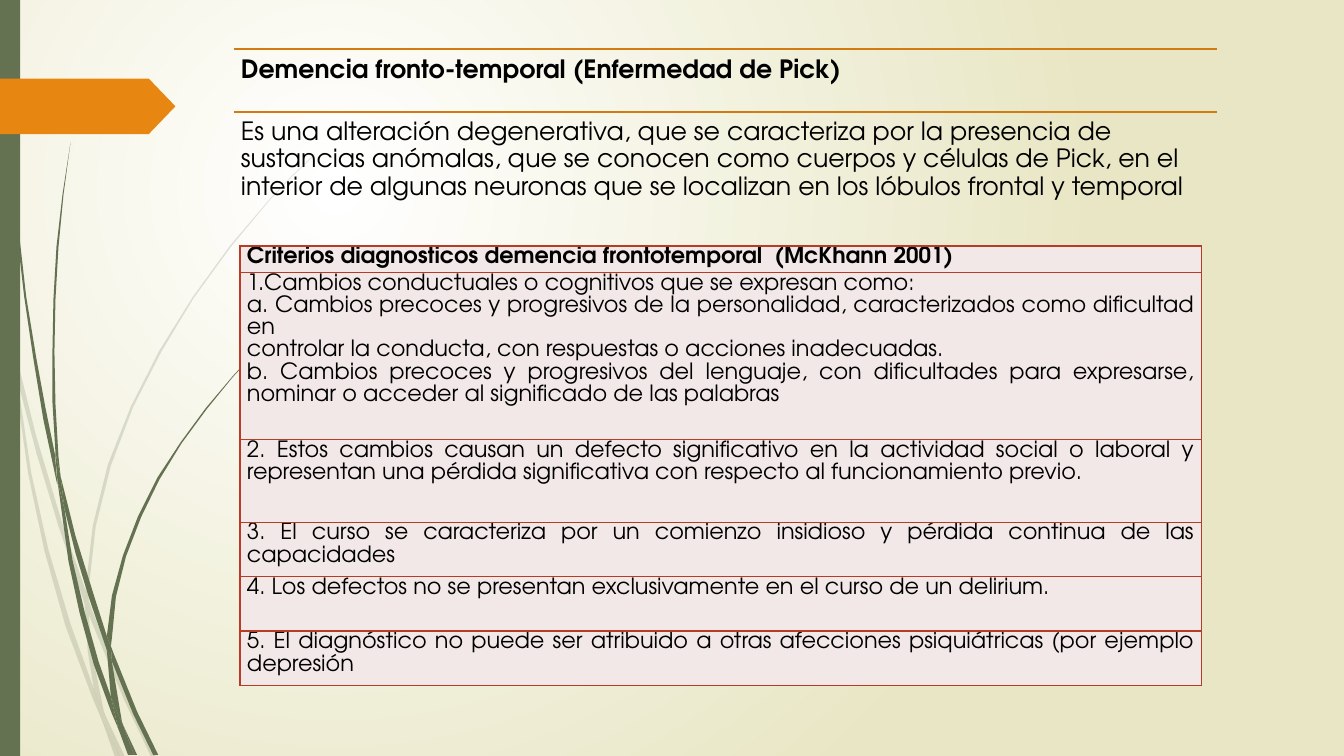
from dataclasses import dataclass

from lxml import etree
from pptx import Presentation
from pptx.dml.color import RGBColor
from pptx.enum.shapes import MSO_CONNECTOR, MSO_SHAPE
from pptx.enum.text import MSO_ANCHOR, MSO_AUTO_SIZE, PP_ALIGN
from pptx.oxml import parse_xml
from pptx.oxml.ns import nsdecls, qn
from pptx.util import Pt

PX = 9144  # 100 px to the inch
LEFT, JUSTIFY = PP_ALIGN.LEFT, PP_ALIGN.JUSTIFY
RECT, PENTAGON = MSO_SHAPE.RECTANGLE, MSO_SHAPE.PENTAGON
STRAIGHT, TOP = MSO_CONNECTOR.STRAIGHT, MSO_ANCHOR.TOP
NO_FIT = MSO_AUTO_SIZE.NONE


@dataclass(frozen=True)
class Theme:
    font: str = "TeX Gyre Adventor"
    ink: str = "000000"
    light: str = "FFFFFF"
    sand: str = "E8E6C4"
    moss: str = "647252"
    orange: str = "E78712"
    rule: str = "D27B10"
    edge: str = "B73C26"
    cell: str = "F3E8E8"
    lead: int = 18
    small: int = 16


THEME = Theme()

# Outlines of the grass, one blade part per list.
PALE = [
    [(11, 350), (9, 322), (0, 282), (0, 299), (10, 344)],
    [(58, 522), (84, 599), (85, 586), (62, 520), (36, 433), (14, 345), (17, 376), (36, 449)],
    [(92, 607), (88, 596), (88, 610), (123, 694), (150, 751), (155, 751), (127, 692)],
    [(119, 751), (124, 751), (105, 711)],
    [(93, 683), (70, 619), (48, 545), (31, 469), (17, 376), (11, 350), (28, 470), (44, 546),
     (65, 621), (92, 693), (101, 714), (99, 707)],
    [(84, 599), (87, 646), (93, 683), (96, 692), (105, 711), (103, 706), (91, 646), (88, 610),
     (88, 608)],
    [(88, 584), (95, 522), (110, 462), (132, 404), (160, 349), (192, 296), (229, 245),
     (268, 198), (290, 175), (312, 154), (312, 153), (289, 175), (268, 197), (228, 244),
     (191, 295), (158, 348), (130, 403), (107, 461), (92, 522), (85, 584), (85, 586), (88, 596)],
    [(101, 714), (114, 751), (119, 751)],
    [(88, 608), (88, 610), (88, 596), (85, 586), (84, 599)],
    [(96, 692), (93, 683), (99, 707), (101, 714), (119, 751), (105, 711)],
]
DARK = [
    [(7, 110), (17, 233), (24, 294), (33, 355), (43, 416), (56, 477), (57, 481), (55, 457),
     (55, 453), (45, 404), (36, 355), (26, 294), (19, 232), (8, 109), (5, 48), (4, 0), (3, 0),
     (4, 48)],
    [(88, 592), (106, 645), (106, 633), (106, 631), (93, 590), (75, 532), (60, 472), (64, 505),
     (75, 549)],
    [(113, 649), (110, 641), (111, 656), (132, 708), (152, 749), (157, 749), (136, 706)],
    [(110, 691), (98, 657), (84, 607), (72, 556), (64, 505), (57, 477), (68, 557), (79, 608),
     (93, 659), (111, 708), (117, 722), (116, 717)],
    [(60, 472), (58, 453), (55, 401), (54, 349), (55, 297), (58, 245), (63, 193), (70, 141),
     (62, 193), (56, 245), (53, 297), (52, 349), (52, 399), (55, 449)],
    [(133, 749), (136, 749), (122, 719)],
    [(57, 477), (64, 505), (60, 472), (55, 449), (55, 453)],
    [(111, 633), (115, 592), (125, 552), (140, 513), (158, 476), (180, 440), (205, 406),
     (231, 374), (245, 359), (261, 344), (260, 344), (245, 358), (231, 373), (204, 405),
     (179, 439), (156, 474), (137, 512), (122, 551), (111, 591), (106, 631), (110, 641)],
    [(117, 722), (127, 749), (131, 749)],
    [(106, 645), (110, 691), (116, 706), (122, 719), (121, 716), (111, 656), (109, 651)],
    [(106, 645), (109, 651), (111, 656), (110, 641), (106, 631), (106, 633)],
    [(116, 706), (110, 691), (116, 717), (117, 722), (130, 749), (133, 749), (122, 719)],
]

TITLE = "Demencia fronto-temporal (Enfermedad de Pick)"
INTRO = ("Es una alteración degenerativa, que se caracteriza por la presencia de sustancias "
         "anómalas, que se conocen como cuerpos y células de Pick, en el interior de algunas "
         "neuronas que se localizan en los lóbulos frontal y temporal")
ROWS = [
    (26, "Criterios diagnosticos demencia frontotemporal  (McKhann 2001)"),
    (166, "1.Cambios conductuales o cognitivos que se expresan como:\n"
          "a. Cambios precoces y progresivos de la personalidad, caracterizados como "
          "dificultad en\n"
          "controlar la conducta, con respuestas o acciones inadecuadas.\n"
          "b. Cambios precoces y progresivos del lenguaje, con dificultades para expresarse, "
          "nominar o acceder al significado de las palabras"),
    (82, "2. Estos cambios causan un defecto significativo en la actividad social o laboral y "
         "representan una pérdida significativa con respecto al funcionamiento previo."),
    (54, "3. El curso se caracteriza por un comienzo insidioso y pérdida continua de las "
         "capacidades"),
    (54, "4. Los defectos no se presentan exclusivamente en el curso de un delirium."),
    (54, "5. El diagnóstico no puede ser atribuido a otras afecciones psiquiátricas (por "
         "ejemplo depresión"),
]


def color(code):
    return RGBColor.from_string(code)


def scale(*nums):
    return [n * PX for n in nums]


def paint(shape, code, alpha=None):
    shape.shadow.inherit = False
    shape.fill.solid()
    shape.fill.fore_color.rgb = color(code)
    shape.line.fill.background()
    if alpha:
        tone = shape.fill._xPr.find(qn("a:solidFill"))[0]
        etree.SubElement(tone, qn("a:alpha"), val=str(alpha * 1000))


def set_back(slide):
    """Fill the background with a glow centred up and to the left."""
    fill = slide.background.fill
    fill.gradient()
    for stop, code in zip(fill.gradient_stops, (THEME.light, THEME.sand)):
        stop.color.rgb = color(code)
    grad = fill._xPr.find(qn("a:gradFill"))
    grad.replace(grad.find(qn("a:lin")), parse_xml(
        f'<a:path {nsdecls("a")} path="circle"><a:fillToRect l="50000" '
        't="50000" r="100000" b="100000"/></a:path>'))


def add_grass(slide, parts, alpha=None):
    group = slide.shapes.add_group_shape()
    for part in parts:
        pen = group.shapes.build_freeform(*part[0], scale=PX)
        pen.add_line_segments(part[1:], close=True)
        paint(pen.convert_to_shape(), THEME.moss, alpha)


def add_block(slide, kind, box, code):
    shape = slide.shapes.add_shape(kind, *scale(*box))
    paint(shape, code)
    return shape


def add_rule(slide, x, y, width):
    line = slide.shapes.add_connector(STRAIGHT, *scale(x, y, x + width, y))
    line.line.color.rgb = color(THEME.rule)
    line.line.width = Pt(1.25)
    etree.SubElement(line._element.spPr, qn("a:effectLst"))


def set_text(frame, text, size, bold, align, space):
    frame.text = text
    for para in frame.paragraphs:
        para.alignment, para.line_spacing = align, space
        para.space_before = para.space_after = Pt(0)
        for run in para.runs:
            font = run.font
            font.name, font.size, font.bold = THEME.font, Pt(size), bold
            font.color.rgb = color(THEME.ink)


def fill_holder(holder, box, text, bold=False):
    holder.left, holder.top, holder.width, holder.height = scale(*box)
    frame = holder.text_frame
    frame.word_wrap, frame.auto_size, frame.vertical_anchor = True, NO_FIT, TOP
    frame.margin_left = frame.margin_right = frame.margin_top = frame.margin_bottom = 7 * PX
    set_text(frame, text, THEME.lead, bold, LEFT, 0.9)
    props = frame.paragraphs[0]._p.get_or_add_pPr()
    props.set("marL", "0")
    props.set("indent", "0")
    etree.SubElement(props, qn("a:buNone"))


def add_edges(cell):
    props = cell._tc.get_or_add_tcPr()
    for spot, side in enumerate(("lnL", "lnR", "lnT", "lnB")):
        props.insert(spot, parse_xml(
            f'<a:{side} {nsdecls("a")} w="12700"><a:solidFill>'
            f'<a:srgbClr val="{THEME.edge}"/></a:solidFill></a:{side}>'))


def add_grid(slide, x, y, width):
    height = sum(tall for tall, _ in ROWS)
    table = slide.shapes.add_table(len(ROWS), 1, *scale(x, y, width, height)).table
    table.first_row = table.horz_banding = False
    for num, (tall, text) in enumerate(ROWS):
        table.rows[num].height = tall * PX
        cell = table.cell(num, 0)
        cell.margin_left = cell.margin_right = 7 * PX
        cell.margin_top = cell.margin_bottom = 0
        cell.fill.solid()
        cell.fill.fore_color.rgb = color(THEME.cell)
        add_edges(cell)
        set_text(cell.text_frame, text, THEME.small, num == 0, JUSTIFY, 1.07)


def main():
    deck = Presentation()
    deck.slide_width, deck.slide_height = scale(1333, 750)
    slide = deck.slides.add_slide(deck.slide_layouts[1])
    set_back(slide)
    add_grass(slide, PALE, alpha=20)
    add_grass(slide, DARK)
    add_block(slide, RECT, (0, 0, 20, 750), THEME.moss)
    arrow = add_block(slide, PENTAGON, (0, 78, 174, 55), THEME.orange)
    arrow.adjustments[0] = 0.48
    for y in (49, 111):
        add_rule(slide, 232, y, 975)
    fill_holder(slide.shapes.title, (232, 49, 975, 62), TITLE, bold=True)
    fill_holder(slide.placeholders[1], (232, 111, 974, 121), INTRO)
    add_grid(slide, 238, 244, 954)
    deck.save("out.pptx")


if __name__ == "__main__":
    main()
